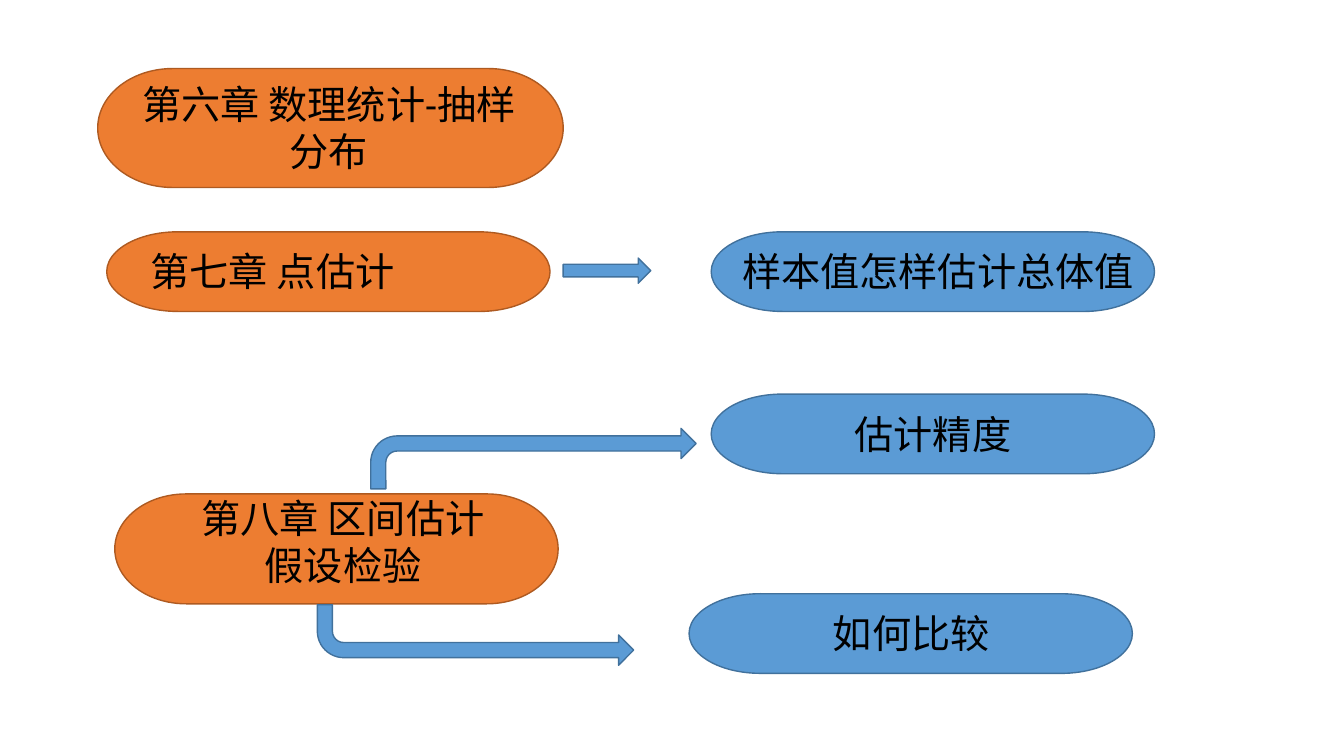
"""Build a slide that maps three statistics chapters to the questions they answer."""
from pptx import Presentation
from pptx.dml.color import RGBColor
from pptx.enum import shapes, text
from pptx.util import Inches, Pt

ORANGE = RGBColor(0xED, 0x7D, 0x31)
ORANGE_LINE = RGBColor(0xAE, 0x5A, 0x21)
BLUE = RGBColor(0x5B, 0x9B, 0xD5)
BLUE_LINE = RGBColor(0x41, 0x71, 0x9C)
BLACK = RGBColor(0x00, 0x00, 0x00)

presentation = Presentation()
presentation.slide_width = Inches(13.34)
presentation.slide_height = Inches(7.5)
slide = presentation.slides.add_slide(presentation.slide_layouts[6])


def add_figure(kind, box, fill=BLUE, line=BLUE_LINE):
    shape = slide.shapes.add_shape(kind, *map(Inches, box))
    shape.shadow.inherit = False
    shape.fill.solid()
    shape.fill.fore_color.rgb = fill
    shape.line.color.rgb = line
    shape.line.width = Pt(1)
    return shape


def add_label(content, box, size=28, font="Calibri", color=BLACK):
    frame = slide.shapes.add_textbox(*map(Inches, box)).text_frame
    frame.word_wrap = True
    frame.text = content
    for paragraph in frame.paragraphs:
        paragraph.alignment = text.PP_ALIGN.CENTER
        paragraph.font.size = Pt(size)
        paragraph.font.name = font
        paragraph.font.color.rgb = color


chapters = [
    ("第六章 数理统计-抽样分布", (0.97, 0.68, 4.62, 1.18), (1.14, 0.75, 4.25, 1.04)),
    ("第七章 点估计", (1.06, 2.3, 4.4, 0.79), (0.97, 2.4, 3.47, 0.57)),
    ("第八章 区间估计\n假设检验", (1.14, 4.9, 4.4, 1.09), (1.66, 4.85, 3.49, 1.04)),
]
questions = [
    ("样本值怎样估计总体值", (7.06, 2.3, 4.4, 0.79), (7.16, 2.4, 4.3, 0.57)),
    ("估计精度", (7.06, 3.91, 4.4, 0.79), (7.38, 4.02, 3.76, 0.57)),
    ("如何比较", (6.84, 5.89, 4.4, 0.79), (7.16, 6, 3.77, 0.57)),
]
for group, fill, line in [(chapters, ORANGE, ORANGE_LINE), (questions, BLUE, BLUE_LINE)]:
    for content, figure_box, label_box in group:
        add_figure(shapes.MSO_SHAPE.FLOWCHART_TERMINATOR, figure_box, fill, line)
        add_label(content, label_box)

add_figure(shapes.MSO_SHAPE.RIGHT_ARROW, (5.59, 2.56, 0.87, 0.25))
add_figure(shapes.MSO_SHAPE.BENT_ARROW, (3.68, 4.25, 3.23, 0.6))
lower_arrow = add_figure(shapes.MSO_SHAPE.BENT_ARROW, (3.15, 6, 3.14, 0.6))
lower_arrow._element.spPr.xfrm.set("flipV", "1")

presentation.save("out.pptx")
